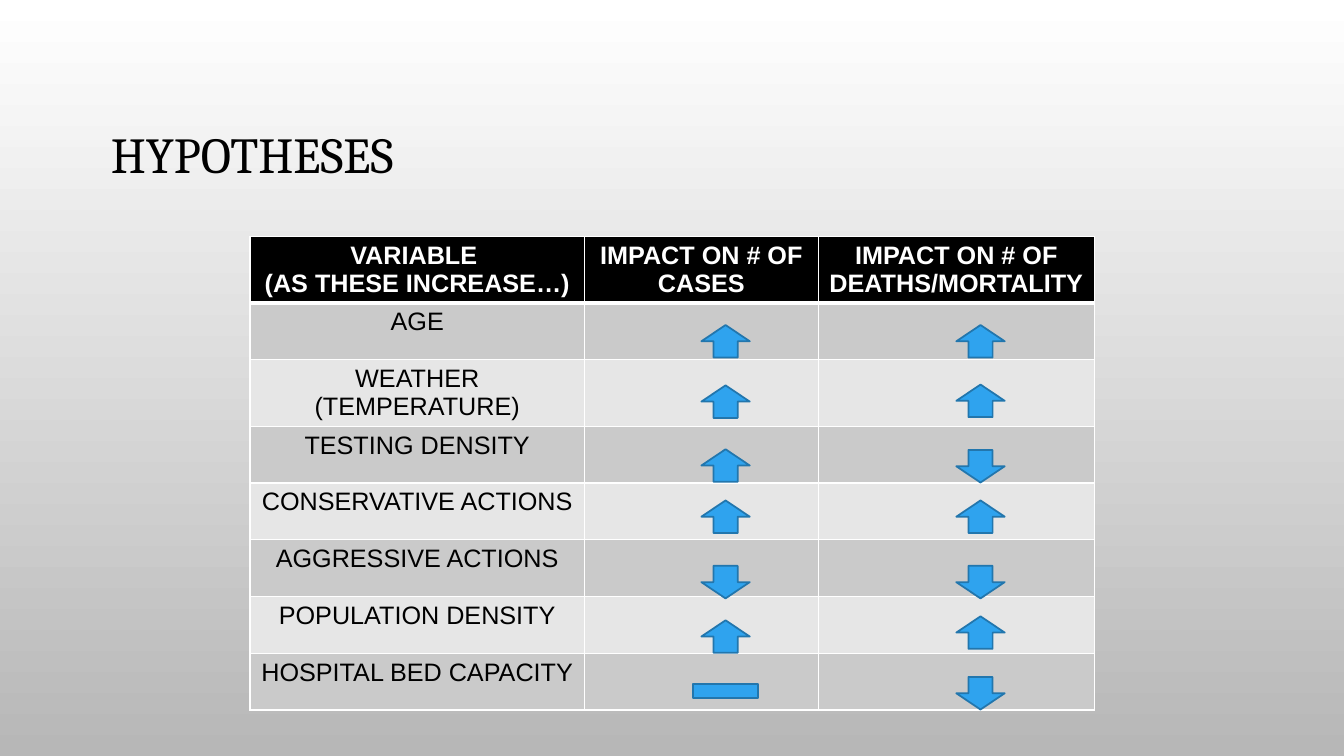
from pptx import Presentation
from pptx.dml.color import RGBColor
from pptx.enum.shapes import MSO_SHAPE
from pptx.enum.text import MSO_ANCHOR, PP_ALIGN
from pptx.oxml import parse_xml
from pptx.oxml.ns import nsdecls
from pptx.util import Cm, Pt

COL_WIDTHS = [8.43, 5.89, 6.96]
HEADER_HEIGHT = 1.68
HEADERS = [["VARIABLE ", "(AS THESE INCREASE…)"],
           ["IMPACT ON # OF CASES"],
           ["IMPACT ON # OF DEATHS/MORTALITY"]]
# Variable, row height, then (impact, drop below the row's top) for each column
HYPOTHESES = [
    ("AGE", 1.43, [("up", 0.56), ("up", 0.56)]),
    ("WEATHER (TEMPERATURE)", 1.68, [("up", 0.65), ("up", 0.63)]),
    ("TESTING DENSITY", 1.43, [("up", 0.58), ("down", 0.6)]),
    ("CONSERVATIVE ACTIONS", 1.43, [("up", 0.44), ("up", 0.44)]),
    ("AGGRESSIVE ACTIONS", 1.43, [("down", 0.66), ("down", 0.66)]),
    ("POPULATION DENSITY", 1.43, [("up", 0.6), ("up", 0.5)]),
    ("HOSPITAL BED CAPACITY", 1.43, [("none", 0.77), ("down", 0.6)]),
]
ARROW_SIZE = (1.22, 0.82)
BAR_SIZE = (1.63, 0.36)


def rgb(color):
    return RGBColor.from_string(color)


def add_run(p, text, size, color, font, bold=False):
    r = p.add_run()
    r.text = text
    r.font.name, r.font.size, r.font.bold = font, Pt(size), bold
    r.font.color.rgb = rgb(color)


def set_background(slide):
    fill = slide.background.fill
    fill.gradient()
    fill.gradient_angle = 270
    for stop, color in zip(fill.gradient_stops, ["FFFFFF", "B7B7B7"]):
        stop.color.rgb = rgb(color)


def add_title(slide, left, top, width, height):
    title = slide.shapes.title
    title.left, title.top = Cm(left), Cm(top)
    title.width, title.height = Cm(width), Cm(height)
    tf = title.text_frame
    tf.word_wrap = True
    tf.vertical_anchor = MSO_ANCHOR.MIDDLE
    p = tf.paragraphs[0]
    p.alignment = PP_ALIGN.LEFT
    p.line_spacing = 0.9
    add_run(p, "HYPOTHESES", 36, "000000", "Cambria")


def format_cell(cell, lines, fill, color, bold, top_line=1, bottom_line=1):
    # Borders come before the fill in the cell properties
    tcPr = cell._tc.get_or_add_tcPr()
    for side, points in zip("LRTB", [1, 1, top_line, bottom_line]):
        tcPr.append(parse_xml(
            f'<a:ln{side} {nsdecls("a")} w="{Pt(points)}"><a:solidFill>'
            f'<a:srgbClr val="FFFFFF"/></a:solidFill></a:ln{side}>'))
    cell.fill.solid()
    cell.fill.fore_color.rgb = rgb(fill)
    tf = cell.text_frame
    for i, line in enumerate(lines):
        p = tf.add_paragraph() if i else tf.paragraphs[0]
        p.alignment = PP_ALIGN.CENTER
        add_run(p, line, 18, color, "Arial", bold)


def add_impact(slide, impact, left, top):
    """Place an arrow at left, or a bar centred where an arrow would be."""
    width, height = BAR_SIZE if impact == "none" else ARROW_SIZE
    left += (ARROW_SIZE[0] - width) / 2
    kind = MSO_SHAPE.RECTANGLE if impact == "none" else MSO_SHAPE.DOWN_ARROW
    sp = slide.shapes.add_shape(kind, Cm(left), Cm(top), Cm(width), Cm(height))
    sp.rotation = 180 if impact == "up" else 0
    sp.shadow.inherit = False
    sp.fill.solid()
    sp.fill.fore_color.rgb = rgb("2FA3EE")
    sp.line.color.rgb = rgb("2276AD")
    sp.line.width = Pt(1.25)


def add_hypotheses(slide, left, top):
    heights = [HEADER_HEIGHT] + [height for _, height, _ in HYPOTHESES]
    table = slide.shapes.add_table(
        len(heights), len(COL_WIDTHS), Cm(left), Cm(top),
        Cm(sum(COL_WIDTHS)), Cm(sum(heights))).table
    for column, width in zip(table.columns, COL_WIDTHS):
        column.width = Cm(width)
    for row, height in zip(table.rows, heights):
        row.height = Cm(height)

    # Header row
    for col, lines in enumerate(HEADERS):
        format_cell(table.cell(0, col), lines, "000000", "FFFFFF", True,
                    bottom_line=3)

    # Variables, with impact marks starting at the middle of each column
    row_top = top + HEADER_HEIGHT
    for row, (variable, height, impacts) in enumerate(HYPOTHESES, 1):
        fill = "CACACA" if row % 2 else "E6E6E6"
        for col, lines in enumerate([[variable], [], []]):
            format_cell(table.cell(row, col), lines, fill, "000000", False,
                        top_line=3 if row == 1 else 1)
        for col, (impact, drop) in enumerate(impacts, 1):
            middle = left + sum(COL_WIDTHS[:col]) + COL_WIDTHS[col] / 2
            add_impact(slide, impact, middle, row_top + drop)
        row_top += height


def main():
    prs = Presentation()
    prs.slide_width, prs.slide_height = Cm(33.87), Cm(19.05)
    slide = prs.slides.add_slide(prs.slide_layouts[5])
    set_background(slide)
    add_title(slide, 2.54, 1.73, 28.78, 4.45)
    add_hypotheses(slide, 6.3, 5.95)
    prs.save("out.pptx")


if __name__ == "__main__":
    main()
